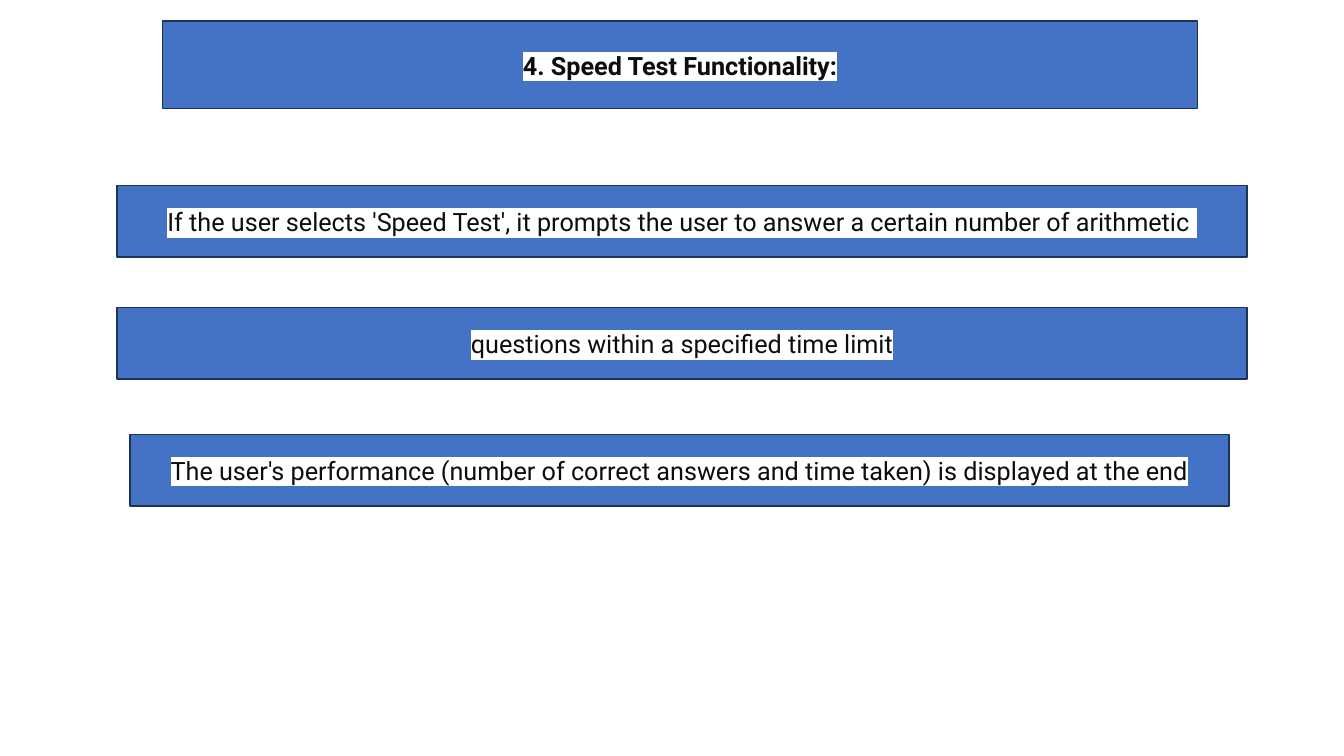
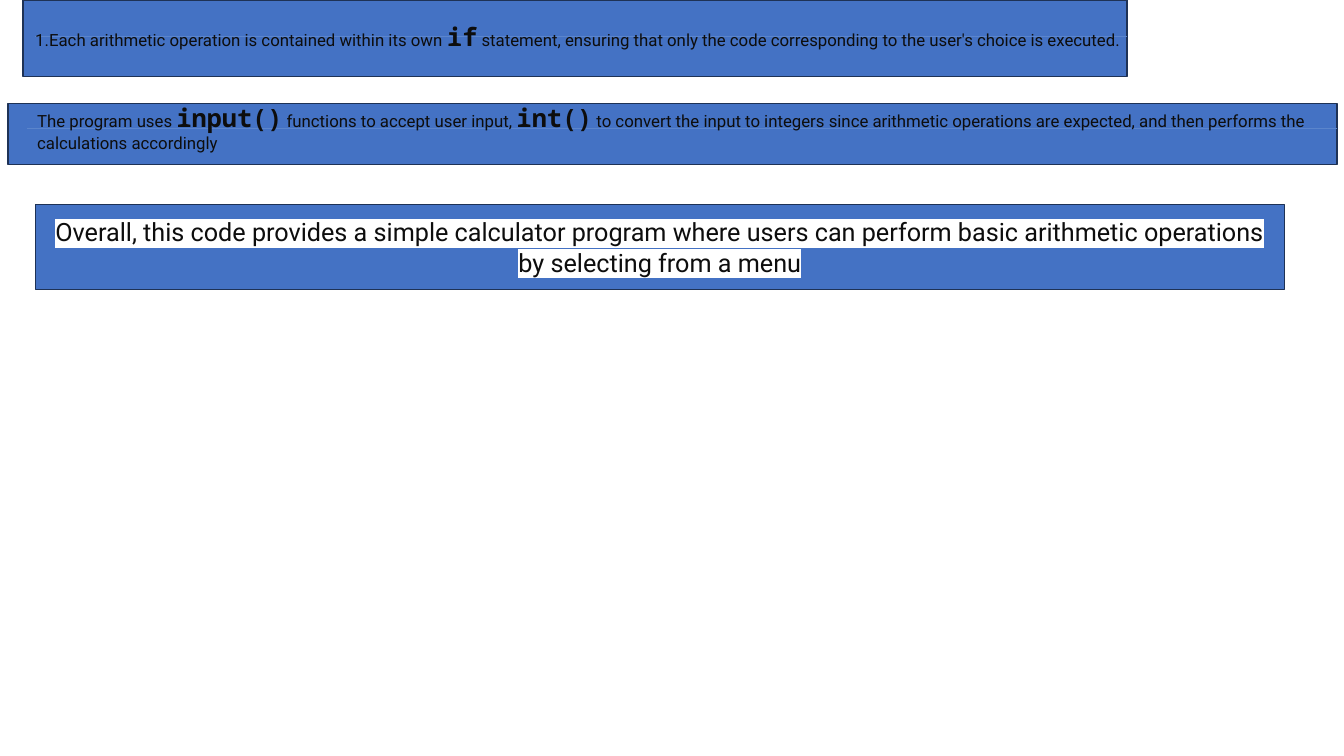
from dataclasses import dataclass

from lxml import etree
from pptx import Presentation
from pptx.dml.color import RGBColor
from pptx.enum.shapes import MSO_CONNECTOR, MSO_SHAPE
from pptx.enum.text import MSO_ANCHOR, PP_ALIGN
from pptx.oxml.ns import qn
from pptx.util import Inches, Pt

RECT = MSO_SHAPE.RECTANGLE
LINE = MSO_CONNECTOR.STRAIGHT
MIDDLE = MSO_ANCHOR.MIDDLE
CENTER = PP_ALIGN.CENTER
LEFT = PP_ALIGN.LEFT


@dataclass(frozen=True)
class Theme:
    """Colours, fonts and sizes shared by the slides."""
    blue: str = "4472C4"
    edge: str = "1E3256"
    hair: str = "5B85CC"
    ink: str = "0D0D0D"
    paper: str = "FFFFFF"
    font: str = "Roboto"
    mono: str = "Noto Sans Mono"
    big: int = 18
    small: int = 12


THEME = Theme()


def color(code):
    """Turn a hex code into a colour."""
    return RGBColor.from_string(code)


def style(run, size, font=THEME.font, bold=False):
    """Set the face, size and ink of a run."""
    run.font.name = font
    run.font.size = Pt(size)
    run.font.bold = bold
    run.font.color.rgb = color(THEME.ink)


def mark(run):
    """Highlight a run in the paper colour."""
    glow = etree.Element(qn("a:highlight"))
    etree.SubElement(glow, qn("a:srgbClr"), val=THEME.paper)
    run.font._element.find(qn("a:solidFill")).addnext(glow)


def bar(slide, box, text="", bold=False):
    """Draw a blue bar with optional highlighted text."""
    shape = slide.shapes.add_shape(RECT, *map(Inches, box))
    shape.shadow.inherit = False
    shape.fill.solid()
    shape.fill.fore_color.rgb = color(THEME.blue)
    shape.line.color.rgb = color(THEME.edge)
    shape.line.width = Pt(1)
    if text:
        frame = shape.text_frame
        frame.word_wrap = True
        frame.vertical_anchor = MIDDLE
        frame.text = text
        para = frame.paragraphs[0]
        para.alignment = CENTER
        style(para.runs[0], THEME.big, bold=bold)
        mark(para.runs[0])


def rule(slide, left, right, top):
    """Draw a faint hairline."""
    line = slide.shapes.add_connector(LINE, *map(Inches, (left, top, right, top)))
    line.line.color.rgb = color(THEME.hair)
    line.line.width = Pt(0.25)
    etree.SubElement(line._element.spPr, qn("a:effectLst"))


def note(slide, box, parts, left, mid, pad=0, number=False):
    """Draw a bar with prose and code words centred on a hairline."""
    bar(slide, box)
    right = box[0] + box[2]
    rule(slide, left, right, mid)
    high = 0.6
    area = (left, mid - high / 2, right - left, high)
    frame = slide.shapes.add_textbox(*map(Inches, area)).text_frame
    frame.word_wrap = True
    frame.vertical_anchor = MIDDLE
    frame.margin_left = frame.margin_right = Inches(pad)
    frame.margin_top = frame.margin_bottom = 0
    para = frame.paragraphs[0]
    para.alignment = LEFT
    if number:
        props = para._p.get_or_add_pPr()
        props.set("marL", "0")
        props.set("indent", "0")
        etree.SubElement(props, qn("a:buFont"), typeface=THEME.font)
        etree.SubElement(props, qn("a:buAutoNum"), type="arabicPeriod")
    for spot, text in enumerate(parts):
        run = para.add_run()
        run.text = text
        if spot % 2:
            style(run, THEME.big, THEME.mono, True)
        else:
            style(run, THEME.small)


def speed(slide):
    """Build the speed test slide."""
    bar(slide, (1.61, 0.21, 10.27, 0.87), "4. Speed Test Functionality:", True)
    rows = [
        (1.16, 1.84, 11.21, "If the user selects 'Speed Test', it prompts the user "
         "to answer a certain number of arithmetic "),
        (1.16, 3.05, 11.21, "questions within a specified time limit"),
        (1.29, 4.31, 10.9, "The user's performance (number of correct answers and "
         "time taken) is displayed at the end"),
    ]
    for left, top, wide, text in rows:
        bar(slide, (left, top, wide, 0.71), text)


def recap(slide):
    """Build the summary slide."""
    note(slide, (0.23, 0, 10.95, 0.76), [
        "Each arithmetic operation is contained within its own ", "if",
        " statement, ensuring that only the code corresponding to the user's "
        "choice is executed."], 0.35, 0.36, number=True)
    note(slide, (0.08, 1.03, 13.18, 0.6), [
        "The program uses ", "input()", " functions to accept user input, ",
        "int()", " to convert the input to integers since arithmetic operations "
        "are expected, and then performs the calculations accordingly"],
        0.27, 1.27, pad=0.1)
    bar(slide, (0.35, 2.03, 12.39, 0.84),
        "Overall, this code provides a simple calculator program where users can "
        "perform basic arithmetic operations by selecting from a menu")


def main():
    """Build and save the deck."""
    deck = Presentation()
    deck.slide_width = Inches(13.33)
    deck.slide_height = Inches(7.5)
    for build in (speed, recap):
        build(deck.slides.add_slide(deck.slide_layouts[6]))
    deck.save("out.pptx")


if __name__ == "__main__":
    main()
